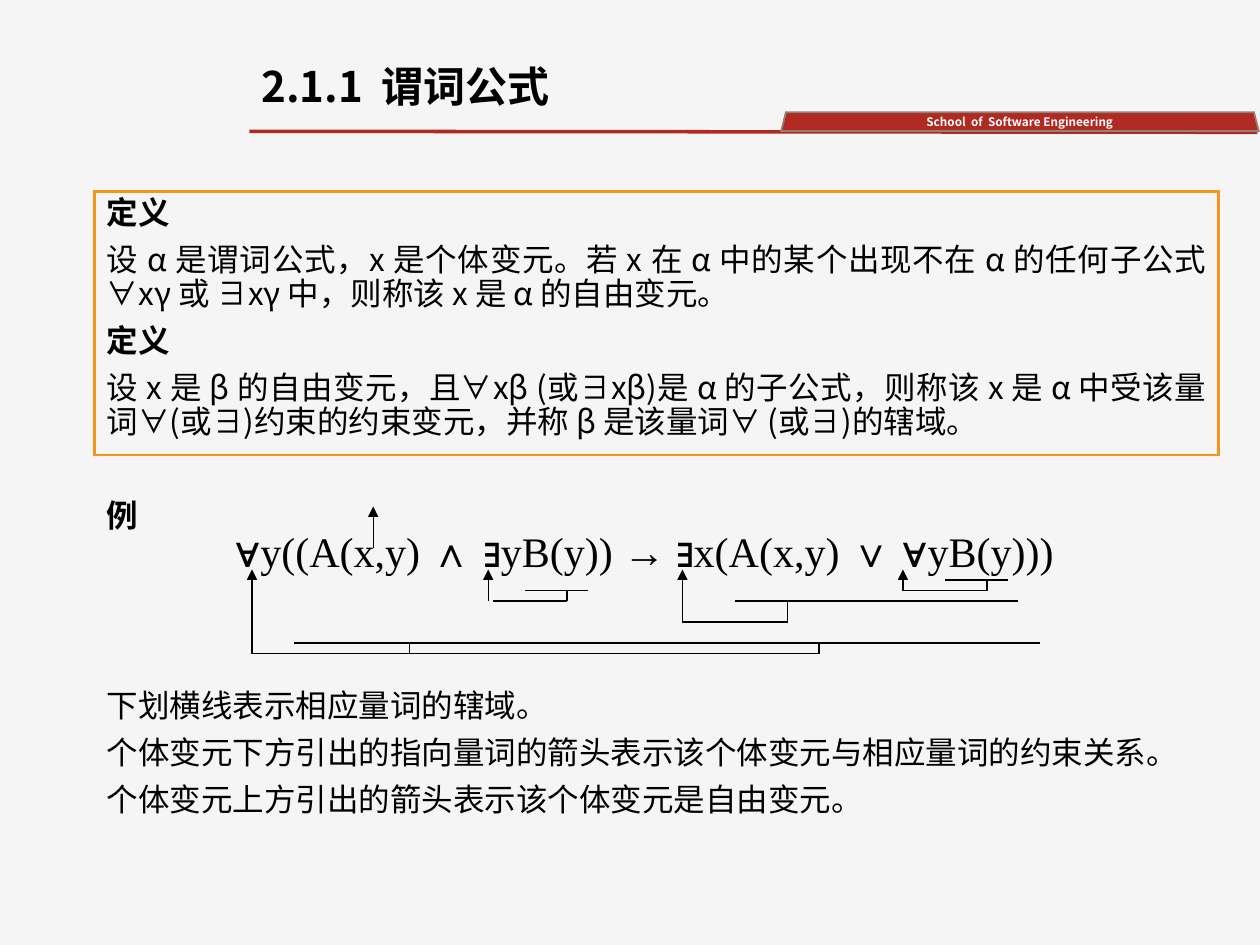
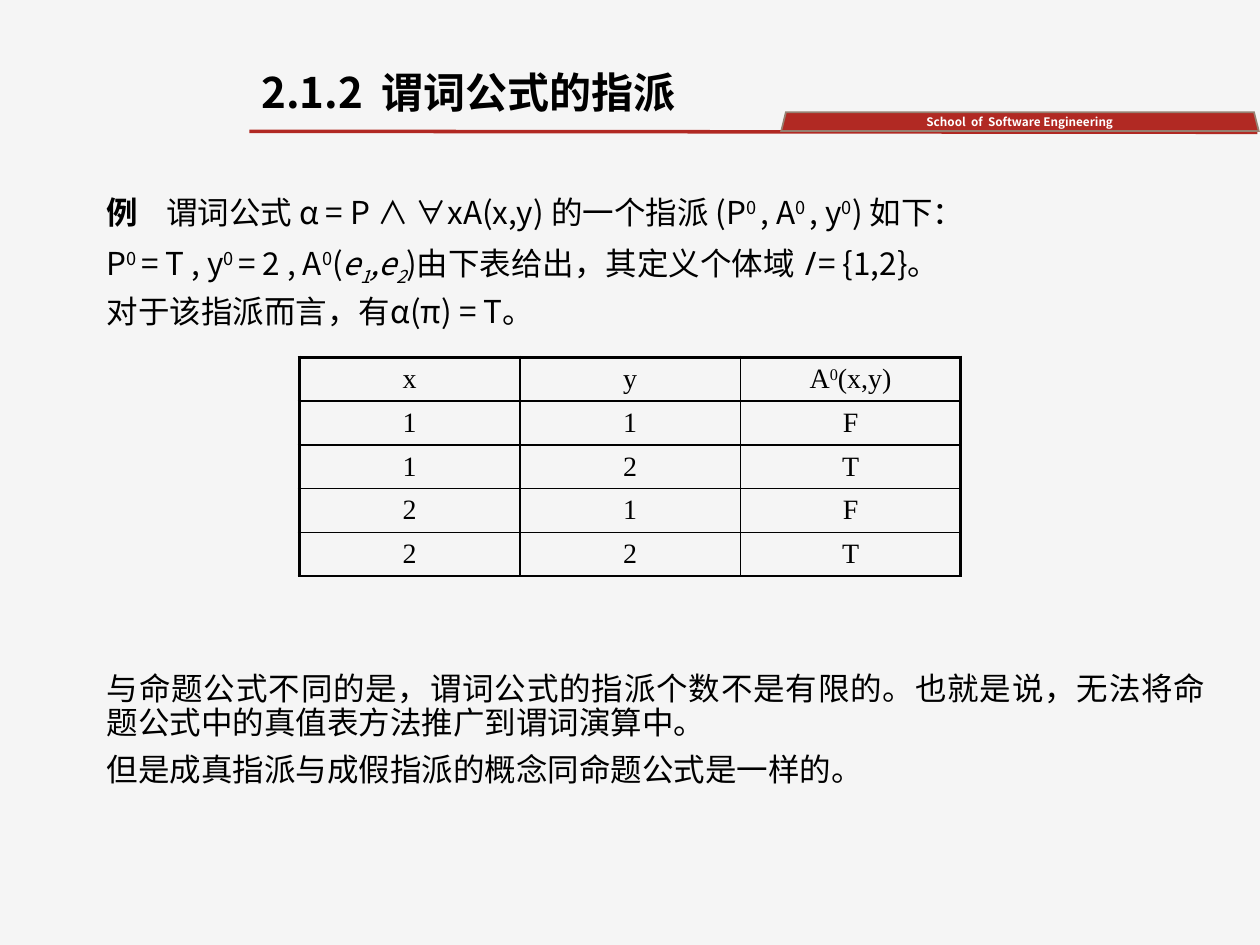
from lxml import etree
from pptx import Presentation
from pptx.dml.color import RGBColor
from pptx.enum.shapes import MSO_CONNECTOR, MSO_SHAPE
from pptx.enum.text import MSO_ANCHOR, PP_ALIGN
from pptx.oxml.ns import qn
from pptx.util import Emu, Inches, Pt

WIDTH, HEIGHT = Inches(10), Inches(7.5)
PAPER = RGBColor(0xF5, 0xF5, 0xF5)
RED = RGBColor(0xB1, 0x29, 0x23)
TAUPE = RGBColor(0x96, 0x80, 0x71)
ORANGE = RGBColor(0xF8, 0x93, 0x1D)
BLACK = RGBColor(0, 0, 0)
WHITE = RGBColor(255, 255, 255)
SANS, SERIF = "Noto Sans CJK SC", "Times New Roman"

STRAIGHT = MSO_CONNECTOR.STRAIGHT
RECTANGLE, TRAPEZOID = MSO_SHAPE.RECTANGLE, MSO_SHAPE.TRAPEZOID
CENTER, LEFT, JUSTIFY = PP_ALIGN.CENTER, PP_ALIGN.LEFT, PP_ALIGN.JUSTIFY
MIDDLE = MSO_ANCHOR.MIDDLE

BODY = {"size": Pt(18), "name": SANS}
TITLE = {"size": Pt(24), "name": SANS, "bold": True}
BAND = {"size": Pt(6.7), "name": SANS, "bold": True}
FORMULA = {"size": Pt(24), "name": SERIF}
CELL = {"size": Pt(16), "name": SERIF}
BOLD, ITALIC = {"bold": True}, {"italic": True}
UPPER, LOWER = {"baseline": 30}, {"baseline": -25, "italic": True}

BODY_LEFT, BODY_WIDTH, BODY_TOP = 7.5, 89.2, 20.2
DEFINITION_TOP, DEFINITION_HEIGHT = 20.27, 27.87

GRID = Inches(1) // 12
FORMULA_FOOT = Inches(4.52)

DEFINITIONS = [
    [("定义", BOLD)],
    [("设 α 是谓词公式，x 是个体变元。若 x 在 α 中的某个出现不在 α 的任何子公式 ∀xγ 或 ∃xγ 中，则称该 x 是 α 的自由变元。", {})],
    [("定义", BOLD)],
    [("设 x 是 β 的自由变元，且∀xβ (或∃xβ)是 α 的子公式，则称该 x 是 α 中受该量词∀(或∃)约束的约束变元，并称 β 是该量词∀ (或∃)的辖域。", {})],
]
NOTES = [
    [("下划横线表示相应量词的辖域。", {})],
    [("个体变元下方引出的指向量词的箭头表示该个体变元与相应量词的约束关系。", {})],
    [("个体变元上方引出的箭头表示该个体变元是自由变元。", {})],
]
SCOPES = [
    {"span": (90, 96), "row": 1, "bound": [94], "foot": 2, "start": 86, "quantifier": 86},
    {"span": (70, 97), "row": 3, "bound": [75], "foot": 5, "start": 65, "quantifier": 65},
    {"span": (50, 56), "row": 2, "bound": [54], "foot": 3, "start": 47, "quantifier": 46.5},
    {"span": (28, 99), "row": 7, "bound": [39, 78], "foot": 8, "start": 24, "quantifier": 24},
]
ASSIGNMENT = [
    [("例\t", BOLD), ("谓词公式 α = P ∧ ∀xA(x,y) 的一个指派 (P", {}), ("0 ", UPPER),
     (", A", {}), ("0 ", UPPER), (", y", {}), ("0", UPPER), (") 如下：", {})],
    [("P", {}), ("0 ", UPPER), ("= T , y", {}), ("0 ", UPPER), ("= 2 , A", {}),
     ("0", UPPER), ("(", {}), ("e", ITALIC), ("1", LOWER), (",e", ITALIC), ("2", LOWER),
     (")由下表给出，其定义个体域 ", {}), ("I", ITALIC), (" = {1,2}。", {})],
    [("对于该指派而言，有α(π) = T。", {})],
]
CONCLUSION = [
    [("与命题公式不同的是，谓词公式的指派个数不是有限的。也就是说，无法将命题公式中的真值表方法推广到谓词演算中。", {})],
    [("但是成真指派与成假指派的概念同命题公式是一样的。", {})],
]
PREDICATE_ROWS = [
    [[("x", {})], [("y", {})], [("A", {}), ("0", UPPER), ("(x,y)", {})]],
    *[[[(value, {})] for value in row] for row in ("11F", "12T", "21F", "22T")],
]


def place(left, top, width, height):
    return [Emu(round(side * percent / 100)) for side, percent in
            zip((WIDTH, HEIGHT, WIDTH, HEIGHT), (left, top, width, height))]


def add_run(paragraph, text, style, color):
    run = paragraph.add_run()
    run.text = text
    run.font.color.rgb = color
    properties = run.font._element
    for name, value in style.items():
        if name == "baseline":
            properties.set("baseline", str(value * 1000))
        else:
            setattr(run.font, name, value)
    latin = properties.find(qn("a:latin"))
    east_asian = etree.Element(qn("a:ea"), typeface=style["name"])
    latin.addnext(east_asian)


def add_tab_stop(paragraph, position):
    properties = paragraph._p.get_or_add_pPr()
    stops = etree.SubElement(properties, qn("a:tabLst"))
    etree.SubElement(stops, qn("a:tab"), pos=str(position), algn="l")


def write(frame, paragraphs, style, alignment=LEFT, spacing=1.0, color=BLACK):
    for index, runs in enumerate(paragraphs):
        paragraph = frame.add_paragraph() if index else frame.paragraphs[0]
        paragraph.alignment = alignment
        paragraph.line_spacing = spacing
        if index:
            paragraph.space_before = Pt(7.5)
        if any("\t" in text for text, _ in runs):
            add_tab_stop(paragraph, Inches(0.47))
        for text, extra in runs:
            add_run(paragraph, text, {**style, **extra}, color)


def add_text(slide, area, paragraphs, style, **layout):
    frame = slide.shapes.add_textbox(*place(*area)).text_frame
    frame.word_wrap = True
    write(frame, paragraphs, style, **layout)


def add_body(slide, top, height, paragraphs):
    add_text(slide, (BODY_LEFT, top, BODY_WIDTH, height), paragraphs, BODY,
             alignment=JUSTIFY, spacing=0.9)


def add_line(slide, points, color=BLACK, width=0.75, arrow=False):
    line = slide.shapes.add_connector(STRAIGHT, *points)
    line.line.color.rgb = color
    line.line.width = Pt(width)
    if arrow:
        etree.SubElement(line.line._get_or_add_ln(), qn("a:tailEnd"), type="triangle")
    etree.SubElement(line._element.spPr, qn("a:effectLst"))


def add_shape(slide, kind, area, line_color, line_width, fill=None):
    shape = slide.shapes.add_shape(kind, *place(*area))
    shape.shadow.inherit = False
    shape.line.color.rgb = line_color
    shape.line.width = Pt(line_width)
    etree.SubElement(shape.line._get_or_add_ln(), qn("a:miter"), lim="800000")
    if fill is None:
        shape.fill.background()
    else:
        shape.fill.solid()
        shape.fill.fore_color.rgb = fill
    return shape


def add_page(presentation, title, title_spacing):
    slide = presentation.slides.add_slide(presentation.slide_layouts[6])
    slide.background.fill.solid()
    slide.background.fill.fore_color.rgb = PAPER
    add_line(slide, place(19.8, 13.9, 99.8, 14), RED, 2)
    band = add_shape(slide, TRAPEZOID, (62, 11.87, 37.9, 2), TAUPE, 1, RED)
    frame = band.text_frame
    for name in ("margin_left", "margin_top", "margin_right", "margin_bottom"):
        setattr(frame, name, 0)
    frame.vertical_anchor = MIDDLE
    frame.word_wrap = False
    write(frame, [[("School  of  Software Engineering", {})]], BAND, CENTER, color=WHITE)
    add_text(slide, (19.75, 6.4, 45.5, 7.47), [[(title, {})]], TITLE, spacing=title_spacing)
    return slide


def add_grid_line(slide, start, end, arrow=False):
    points = [Emu(round(offset + step * GRID)) for step, offset in
              zip((*start, *end), (0, FORMULA_FOOT) * 2)]
    add_line(slide, points, arrow=arrow)


def add_scope(slide, span, row, bound, foot, start, quantifier):
    add_grid_line(slide, (span[0], row), (span[1], row))
    for column in bound:
        add_grid_line(slide, (column, row), (column, foot))
    add_grid_line(slide, (start, foot), (max(bound), foot))
    add_grid_line(slide, (quantifier, foot), (quantifier, 0), arrow=True)


def set_borders(cell, widths):
    properties = cell._tc.get_or_add_tcPr()
    for index, (side, width) in enumerate(widths.items()):
        border = etree.Element(qn(f"a:{side}"), w=str(Pt(width)))
        fill = etree.SubElement(border, qn("a:solidFill"))
        etree.SubElement(fill, qn("a:srgbClr"), val=str(BLACK))
        properties.insert(index, border)


def add_predicate_table(slide, area, rows):
    columns = len(rows[0])
    table = slide.shapes.add_table(len(rows), columns, *place(*area)).table
    table.first_row = table.horz_banding = False
    for row, values in enumerate(rows):
        for column, runs in enumerate(values):
            cell = table.cell(row, column)
            cell.fill.background()
            cell.margin_top = cell.margin_bottom = Inches(0.04)
            cell.vertical_anchor = MIDDLE
            write(cell.text_frame, [runs], CELL, CENTER)
            set_borders(cell, {
                "lnL": 1 if column else 2.25,
                "lnR": 2.25 if column == columns - 1 else 1,
                "lnT": 1 if row else 2.25,
                "lnB": 1,
            })


def build_formula_slide(presentation):
    slide = add_page(presentation, "2.1.1  谓词公式", 0.9)
    add_body(slide, BODY_TOP, DEFINITION_HEIGHT, DEFINITIONS)
    add_body(slide, 52.3, 5, [[("例", BOLD)]])
    add_body(slide, 72.4, 16, NOTES)
    for scope in SCOPES:
        add_scope(slide, **scope)
    add_grid_line(slide, (35.55, -2), (35.55, -6), arrow=True)
    add_text(slide, (11.15, 54.93, 80, 6.67),
             [[("∀y((A(x,y) ∧ ∃yB(y)) → ∃x(A(x,y) ∨ ∀yB(y)))", {})]],
             FORMULA, alignment=CENTER)
    add_shape(slide, RECTANGLE, (BODY_LEFT, DEFINITION_TOP, BODY_WIDTH, DEFINITION_HEIGHT),
              ORANGE, 1.5)


def build_assignment_slide(presentation):
    slide = add_page(presentation, "2.1.2  谓词公式的指派", 1.0)
    add_body(slide, BODY_TOP, 16, ASSIGNMENT)
    add_predicate_table(slide, (23.75, 37.8, 52.5, 23.2), PREDICATE_ROWS)
    add_body(slide, 70.6, 16, CONCLUSION)


def main():
    presentation = Presentation()
    presentation.slide_width, presentation.slide_height = WIDTH, HEIGHT
    build_formula_slide(presentation)
    build_assignment_slide(presentation)
    presentation.save("out.pptx")


if __name__ == "__main__":
    main()
